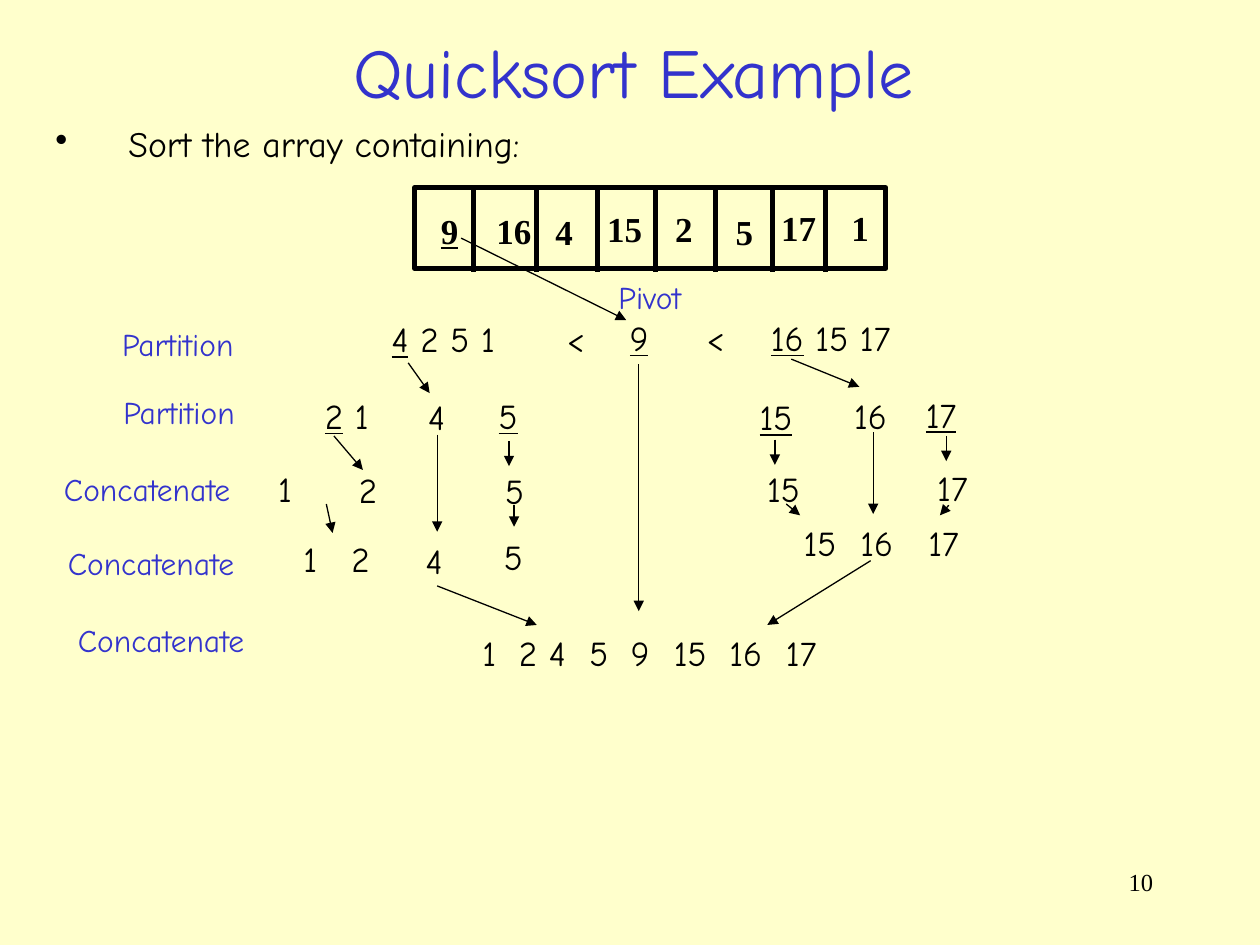
from lxml import etree
from pptx import Presentation
from pptx.dml.color import RGBColor
from pptx.enum.shapes import MSO_CONNECTOR, MSO_SHAPE
from pptx.enum.text import MSO_ANCHOR, PP_ALIGN
from pptx.oxml.ns import qn
from pptx.util import Inches, Pt

STRAIGHT = MSO_CONNECTOR.STRAIGHT
RECTANGLE = MSO_SHAPE.RECTANGLE
MIDDLE = MSO_ANCHOR.MIDDLE
LEFT, CENTER, RIGHT = PP_ALIGN.LEFT, PP_ALIGN.CENTER, PP_ALIGN.RIGHT

CREAM = RGBColor(0xFF, 0xFF, 0xCC)
BLUE = RGBColor(0x33, 0x33, 0xCC)
BLACK = RGBColor(0, 0, 0)
COMIC, TIMES = "Comic Neue", "Times New Roman"
COLUMNS, ROWS = 100, 75


class SlideBuilder:
    """Places elements on a grid of 100 columns by 75 rows."""

    def __init__(self, deck):
        self.column = deck.slide_width / COLUMNS
        self.row = deck.slide_height / ROWS
        self.page = deck.slides.add_slide(deck.slide_layouts[6])
        self.page.background.fill.solid()
        self.page.background.fill.fore_color.rgb = CREAM

    def grid(self, *lengths):
        units = (self.column, self.row) * 2
        return [round(length * unit) for length, unit in zip(lengths, units)]

    def text(self, words, place, size=20, color=BLACK, font=COMIC, bold=None,
             align=LEFT, wrap=False, tabs=()):
        """Adds a text; words between underscores are underlined."""
        box = self.page.shapes.add_textbox(*self.grid(*place))
        frame = box.text_frame
        frame.word_wrap = wrap or bool(tabs)
        if tabs:
            frame.margin_right = 0
        para = frame.paragraphs[0]
        para.alignment = align
        for index, part in enumerate(words.split("_")):
            if part:
                span = para.add_run()
                span.text = part
                if index % 2:
                    span.font.underline = True
        if tabs:
            stops = etree.SubElement(para._p.get_or_add_pPr(), qn("a:tabLst"))
            for stop in tabs:
                etree.SubElement(stops, qn("a:tab"), algn="l",
                                 pos=str(round(stop * self.column)))
        para.font.size, para.font.name = Pt(size), font
        para.font.color.rgb, para.font.bold = color, bold
        return box

    def bullet(self, words, place, size, indent):
        para = self.text(words, place, size, wrap=True).text_frame.paragraphs[0]
        para.line_spacing, para.space_before = 0.9, Pt(6)
        properties = para._p.get_or_add_pPr()
        width = round(indent * self.column)
        properties.set("marL", str(width))
        properties.set("indent", str(-width))
        mark = etree.Element(qn("a:buChar"), char="•")
        properties.find(qn("a:defRPr")).addprevious(mark)

    def frame(self, place, width):
        shape = self.page.shapes.add_shape(RECTANGLE, *self.grid(*place))
        shape.shadow.inherit = False
        shape.fill.background()
        shape.line.color.rgb, shape.line.width = BLACK, Pt(width)

    def line(self, ends, width=0.74, arrow=True):
        link = self.page.shapes.add_connector(STRAIGHT, *self.grid(*ends))
        link.line.color.rgb, link.line.width = BLACK, Pt(width)
        if arrow:
            etree.SubElement(link.line._get_or_add_ln(), qn("a:tailEnd"),
                             type="triangle")
        etree.SubElement(link._element.spPr, qn("a:effectLst"))


deck = Presentation()
deck.slide_width, deck.slide_height = Inches(10), Inches(7.5)
slide = SlideBuilder(deck)

# Heading, task and page number
title = slide.text("Quicksort Example", (2.6, 1.8, 95.4, 7.6), 40, BLUE,
                   align=CENTER, wrap=True)
title.text_frame.vertical_anchor = MIDDLE
slide.bullet("Sort the array containing:", (3.4, 9.6, 93.1, 4.4), 20.4, 5.8)
slide.text("10", (71.7, 68.3, 20.8, 5), 14, font=TIMES, align=RIGHT, wrap=True)

# Array to sort
slide.frame((32.9, 14.9, 37.4, 6.4), 3)
for divider in (37.6, 42.6, 47.4, 52, 56.8, 61.3, 65.5):
    slide.line((divider, 15, divider, 21.6), 3, arrow=False)
for value, left, top in (
        ("_9_", 34, 16.1), ("16", 38.4, 16.1), ("4", 43.1, 16.2),
        ("15", 47.2, 16), ("2", 52.6, 16), ("5", 57.4, 16.2),
        ("17", 61, 15.9), ("1", 66.6, 15.9)):
    width = 4.8 if len(value) == 2 else 3.4
    slide.text(value, (left, top, width, 4.4), font=TIMES, bold=True)

# Step labels
for label, left, top, width in (
        ("Pivot", 48.1, 21.6, 7),
        ("Partition", 8.7, 25.3, 10.9), ("Partition", 8.8, 30.7, 10.9),
        ("Concatenate", 4.1, 36.8, 15.3), ("Concatenate", 4.4, 42.7, 15.3),
        ("Concatenate", 5.2, 48.8, 15.3)):
    slide.text(label, (left, top, width, 4), 18, BLUE)

# Values of each step: words, left, top, width, tab stops
for words, left, top, width, *tabs in (
        # First partition
        ("_4_ 2 5 1\t<", 30.1, 24.7, 17.2, 13.9),
        ("_9_", 49, 24.6, 3.5),
        ("<\t_16_ 15 17", 55.1, 24.6, 21.7, 5.1),
        # Second partition
        ("_2_ 1", 24.8, 30.8, 5.5), ("4", 33, 30.9, 3.3),
        ("_5_", 38.6, 30.8, 3.5), ("_15_", 59.3, 30.9, 5.2),
        ("16", 66.8, 30.8, 5.2), ("_17_", 72.5, 30.7, 5.2),
        # Single values
        ("1", 21.1, 36.6, 3.3), ("2", 27.5, 36.7, 3.4),
        ("5", 39.1, 36.8, 3.5), ("15", 59.9, 36.6, 4.6),
        ("17", 73.4, 36.5, 4.4),
        # Joined halves
        ("1\t2", 23.1, 42.2, 7.9, 3.8), ("4", 32.8, 42.3, 3.3),
        ("5", 39, 42, 3.3), ("15\t16\t17", 62.8, 40.9, 14.3, 4.5, 9.9),
        # Sorted array
        ("1\t2 4\t5\t9\t15\t16\t17", 37.3, 49.6, 28.6,
         2.9, 8.5, 11.8, 15.2, 19.6, 24.1)):
    slide.text(words, (left, top, width, 4.4), tabs=tabs)

# Arrows from step to step
for ends in (
        (36.6, 18.9, 49.7, 25.4), (32.4, 28.8, 34.1, 31.2),
        (62.8, 28.5, 68.2, 30.7), (26.5, 34.6, 28.8, 37.3),
        (40.4, 35, 40.4, 37), (61.5, 34.9, 61.5, 36.9),
        (75.1, 34.6, 75.1, 36.6), (25.9, 40, 26.4, 42.3),
        (34.7, 34.5, 34.7, 42.2), (40.8, 40.1, 40.8, 41.8),
        (34.7, 46.5, 42.6, 49.6), (62.4, 40, 63.5, 40.9),
        (69.3, 34.3, 69.3, 40.8), (75.3, 40.1, 74.6, 40.9),
        (50.7, 28.9, 50.7, 48.5), (69.1, 44.5, 60.9, 49.6)):
    slide.line(ends)

deck.save("out.pptx")
